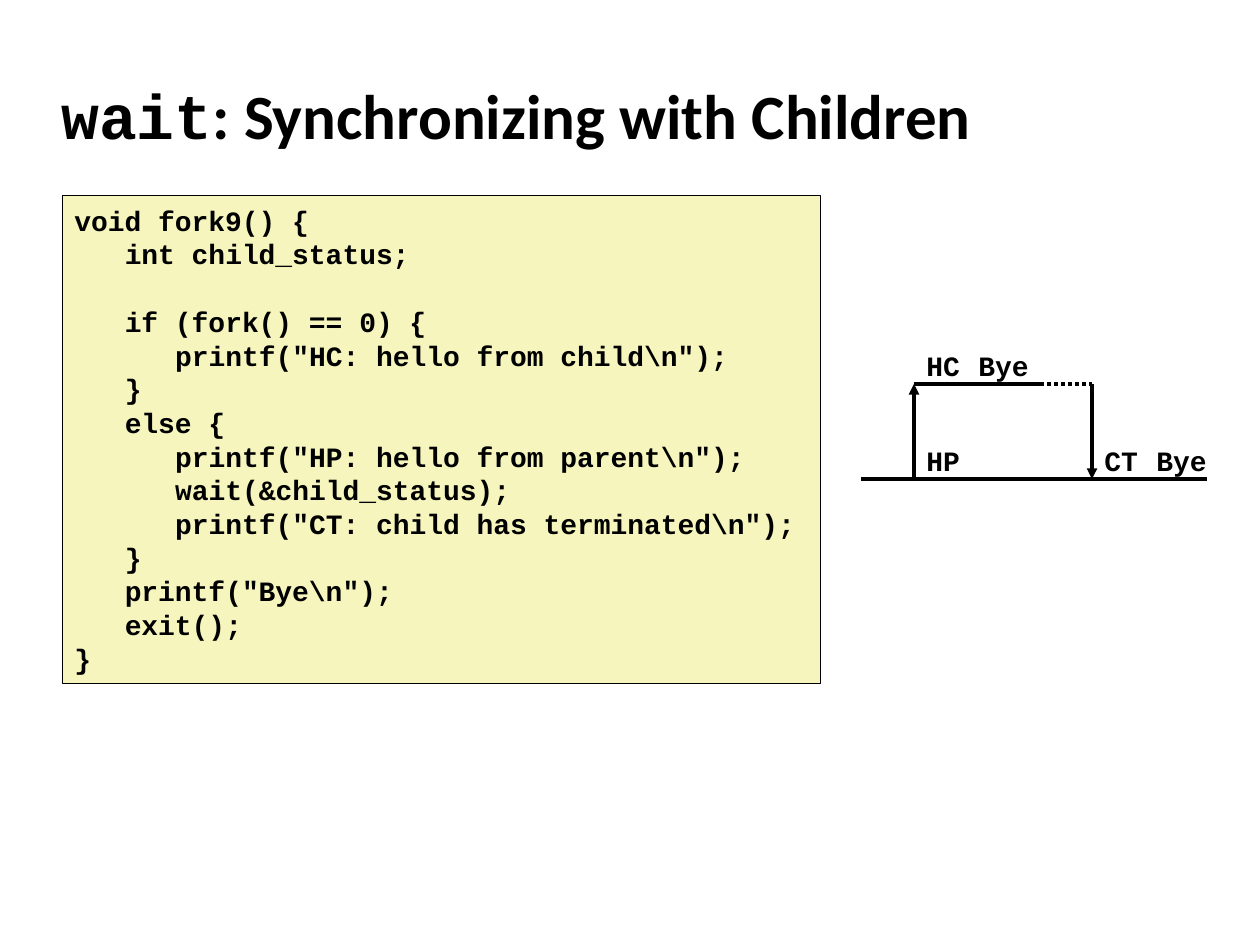
"""Build a slide on wait() with fork code and its process graph."""
from dataclasses import dataclass

from lxml.etree import SubElement
from pptx import Presentation
from pptx.dml.color import RGBColor
from pptx.enum.dml import MSO_LINE_DASH_STYLE as Dash
from pptx.enum.shapes import MSO_CONNECTOR as Connector, MSO_SHAPE as Shape
from pptx.enum.text import MSO_ANCHOR as Anchor, PP_ALIGN as Align
from pptx.oxml.ns import qn
from pptx.util import Emu, Pt

PX = 914400 / 126


def px(length):
    return Emu(round(length * PX))


def apply(target, formats):
    for name, value in formats.items():
        setattr(target, name, value)


@dataclass(frozen=True)
class Theme:
    ink: RGBColor = RGBColor(0, 0, 0)
    paper: RGBColor = RGBColor(0xF6, 0xF5, 0xBD)
    code_font: str = "Courier New"
    title_font: str = "Calibri"
    title_size: Pt = Pt(36)
    code_size: Pt = Pt(16)
    code_pitch: Pt = Pt(19.25)
    indent: Pt = Pt(28.8)
    border: Pt = Pt(0.25)
    stroke: Pt = Pt(2)


class SlideBuilder:
    def __init__(self, slide, theme):
        self.shapes = slide.shapes
        self.theme = theme

    def styled_run(self, paragraph, text, font, size):
        run = paragraph.add_run()
        run.text = text
        apply(run.font, {"name": font, "size": size, "bold": True})
        run.font.color.rgb = self.theme.ink

    def code_run(self, paragraph, text):
        apply(paragraph, {"alignment": Align.LEFT,
                          "line_spacing": self.theme.code_pitch})
        self.styled_run(paragraph, text, self.theme.code_font,
                        self.theme.code_size)

    def title(self, box, parts):
        frame = self.shapes.add_textbox(*map(px, box)).text_frame
        apply(frame, {"word_wrap": True, "vertical_anchor": Anchor.MIDDLE})
        for text, font in parts:
            self.styled_run(frame.paragraphs[0], text, font,
                            self.theme.title_size)

    def code(self, box, lines):
        panel = self.shapes.add_shape(Shape.RECTANGLE, *map(px, box))
        panel.shadow.inherit = False
        panel.fill.solid()
        panel.fill.fore_color.rgb = self.theme.paper
        panel.line.color.rgb = self.theme.ink
        panel.line.width = self.theme.border
        frame = panel.text_frame
        apply(frame, {"word_wrap": True, "vertical_anchor": Anchor.MIDDLE})
        paragraph, gap = frame.paragraphs[0], False
        for index, (level, text) in enumerate(lines):
            if not text:
                gap = True
                continue
            if index:
                paragraph = frame.add_paragraph()
            self.code_run(paragraph, text)
            if level:
                margin = str(int(level * self.theme.indent))
                paragraph._p.get_or_add_pPr().set("marL", margin)
            if gap:
                paragraph.space_before = self.theme.code_pitch
                gap = False

    def label(self, left, baseline, text):
        width = 25 + 17 * len(text)
        box = (left, baseline - 42, width, 47)
        frame = self.shapes.add_textbox(*map(px, box)).text_frame
        apply(frame, {"word_wrap": False, "vertical_anchor": Anchor.MIDDLE})
        self.code_run(frame.paragraphs[0], text)

    def edge(self, start, end, arrow=False, dash=None):
        edge = self.shapes.add_connector(
            Connector.STRAIGHT, *map(px, (*start, *end)))
        edge.line.color.rgb = self.theme.ink
        apply(edge.line, {"width": self.theme.stroke, "dash_style": dash})
        if arrow:
            SubElement(edge.line._get_or_add_ln(), qn("a:tailEnd"),
                       type="triangle")
        SubElement(edge._element.spPr, qn("a:effectLst"))


def main():
    deck = Presentation()
    apply(deck, {"slide_width": px(1260), "slide_height": px(945)})
    theme = Theme()
    builder = SlideBuilder(deck.slides.add_slide(deck.slide_layouts[6]), theme)

    builder.title((49, 62, 1046, 105), [
        ("wait", theme.code_font),
        (": Synchronizing with Children", theme.title_font)])
    builder.code((62, 195, 758, 488), [
        (0, "void fork9() {"),
        (1, "int child_status;"),
        (0, ""),
        (1, "if (fork() == 0) {"),
        (2, r'printf("HC: hello from child\n");'),
        (1, "}"),
        (1, "else {"),
        (2, r'printf("HP: hello from parent\n");'),
        (2, "wait(&child_status);"),
        (2, r'printf("CT: child has terminated\n");'),
        (1, "}"),
        (1, r'printf("Bye\n");'),
        (1, "exit();"),
        (0, "}")])

    child, parent = 384, 479
    parent_steps = (861, 914, 966, 1040, 1092, 1144, 1207)
    start, fork, hello, leave, wait, bye, end = parent_steps
    for left, right in zip(parent_steps, parent_steps[1:]):
        builder.edge((left, parent), (right, parent))
    for left, right, dash in ((fork, hello, None), (hello, leave, None),
                              (leave, wait, Dash.ROUND_DOT)):
        builder.edge((left, child), (right, child), dash=dash)
    builder.edge((fork, parent), (fork, child), arrow=True)
    builder.edge((wait, child), (wait, parent), arrow=True)
    for left, level, output in ((fork, child, "HC"), (hello, child, "Bye"),
                                (fork, parent, "HP"), (wait, parent, "CT"),
                                (bye, parent, "Bye")):
        builder.label(left, level, output)

    deck.save("out.pptx")


if __name__ == "__main__":
    main()
